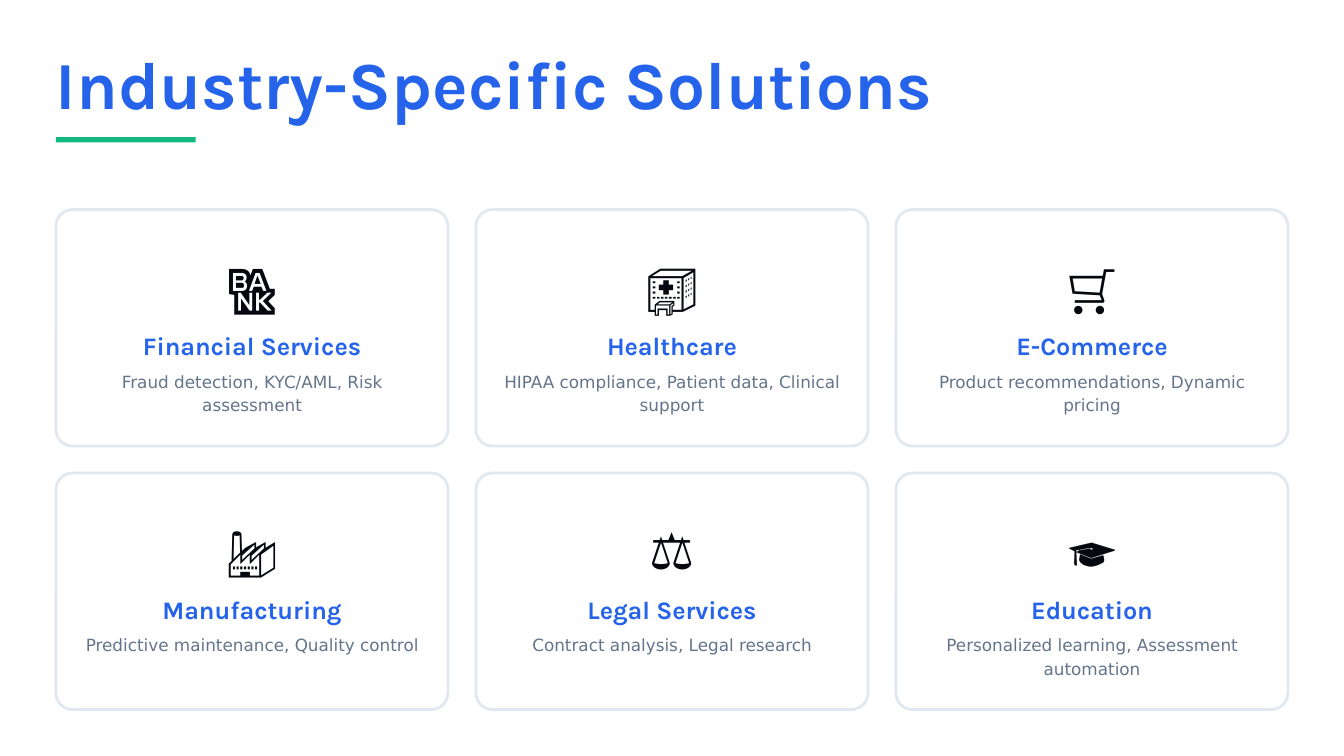
"""Build the slide of industry-specific solutions."""
from pptx import Presentation
from pptx.dml.color import RGBColor
from pptx.enum.shapes import MSO_SHAPE
from pptx.enum.text import PP_ALIGN
from pptx.util import Inches, Pt

RECT = MSO_SHAPE.RECTANGLE
ROUND = MSO_SHAPE.ROUNDED_RECTANGLE
LEFT = PP_ALIGN.LEFT
CENTER = PP_ALIGN.CENTER

BLUE = RGBColor(0x25, 0x63, 0xEB)
GREEN = RGBColor(0x10, 0xB9, 0x81)
WHITE = RGBColor(0xFF, 0xFF, 0xFF)
BORDER = RGBColor(0xE2, 0xE8, 0xF0)
INK = RGBColor(0x05, 0x08, 0x0F)
SLATE = RGBColor(0x64, 0x74, 0x8B)

HEAD = "Karla"
BODY = "DejaVu Sans"

COLS = 3
EDGE = 5 / 12
TOP = 1.56
STEP_X = 6.25 / 2
STEP_Y = 1.96
WIDTH, HEIGHT = 35 / 12, 1.76
INNER = 2.51
INSET = (WIDTH - INNER) / 2
ONE, TWO = 0.17, 0.35

CARDS = [
    ("🏦", "Financial Services", "Fraud detection, KYC/AML, Risk assessment", TWO),
    ("🏥", "Healthcare", "HIPAA compliance, Patient data, Clinical support", TWO),
    ("🛒", "E-Commerce", "Product recommendations, Dynamic pricing", ONE),
    ("🏭", "Manufacturing", "Predictive maintenance, Quality control", ONE),
    ("⚖️", "Legal Services", "Contract analysis, Legal research", ONE),
    ("🎓", "Education", "Personalized learning, Assessment automation", TWO),
]


def add_text(slide, box, text, font, size, color, lead, align=CENTER,
             bold=False, before=0, after=0):
    """Add a text box without margins that holds one run."""
    frame = slide.shapes.add_textbox(*map(Inches, box)).text_frame
    frame.word_wrap = True
    frame.margin_left = frame.margin_right = 0
    frame.margin_top = frame.margin_bottom = 0
    para = frame.paragraphs[0]
    para.alignment = align
    para.line_spacing = Pt(lead)
    para.space_before, para.space_after = Pt(before), Pt(after)
    run = para.add_run()
    run.text = text
    run.font.name = font
    run.font.size = Pt(size)
    run.font.bold = bold
    run.font.color.rgb = color


def add_block(slide, kind, box, fill):
    """Add a filled shape without line or shadow."""
    shape = slide.shapes.add_shape(kind, *map(Inches, box))
    shape.shadow.inherit = False
    shape.fill.solid()
    shape.fill.fore_color.rgb = fill
    shape.line.fill.background()
    return shape


def add_card(slide, x, y, icon, name, note, tall):
    """Add a bordered card with icon, name and note."""
    card = add_block(slide, ROUND, (x, y, WIDTH, HEIGHT), WHITE)
    card.adjustments[0] = 0.07
    card.line.color.rgb = BORDER
    card.line.width = Pt(1.5)
    left = x + INSET
    add_text(slide, (left, y + 0.27, INNER, 0.52), icon, BODY, 27, INK, 37.8,
             before=3, after=7.5)
    add_text(slide, (left, y + 0.9, INNER, 0.22), name, HEAD, 13.5, BLUE, 16.2,
             bold=True, after=3.8)
    add_text(slide, (left, y + 1.18, INNER, tall), note, BODY, 9, SLATE, 12.6)


def main():
    """Build and save the slide."""
    deck = Presentation()
    deck.slide_width = Inches(10)
    deck.slide_height = deck.slide_width * 9 // 16
    slide = deck.slides.add_slide(deck.slide_layouts[6])
    slide.background.fill.solid()
    slide.background.fill.fore_color.rgb = WHITE
    add_text(slide, (EDGE, EDGE, 6.61, 0.5), "Industry-Specific Solutions",
             HEAD, 36, BLUE, 36, align=LEFT, bold=True)
    add_block(slide, RECT, (EDGE, 1.02, 1.04, 0.04), GREEN)
    for index, card in enumerate(CARDS):
        row, col = divmod(index, COLS)
        add_card(slide, EDGE + col * STEP_X, TOP + row * STEP_Y, *card)
    deck.save("out.pptx")


if __name__ == "__main__":
    main()
